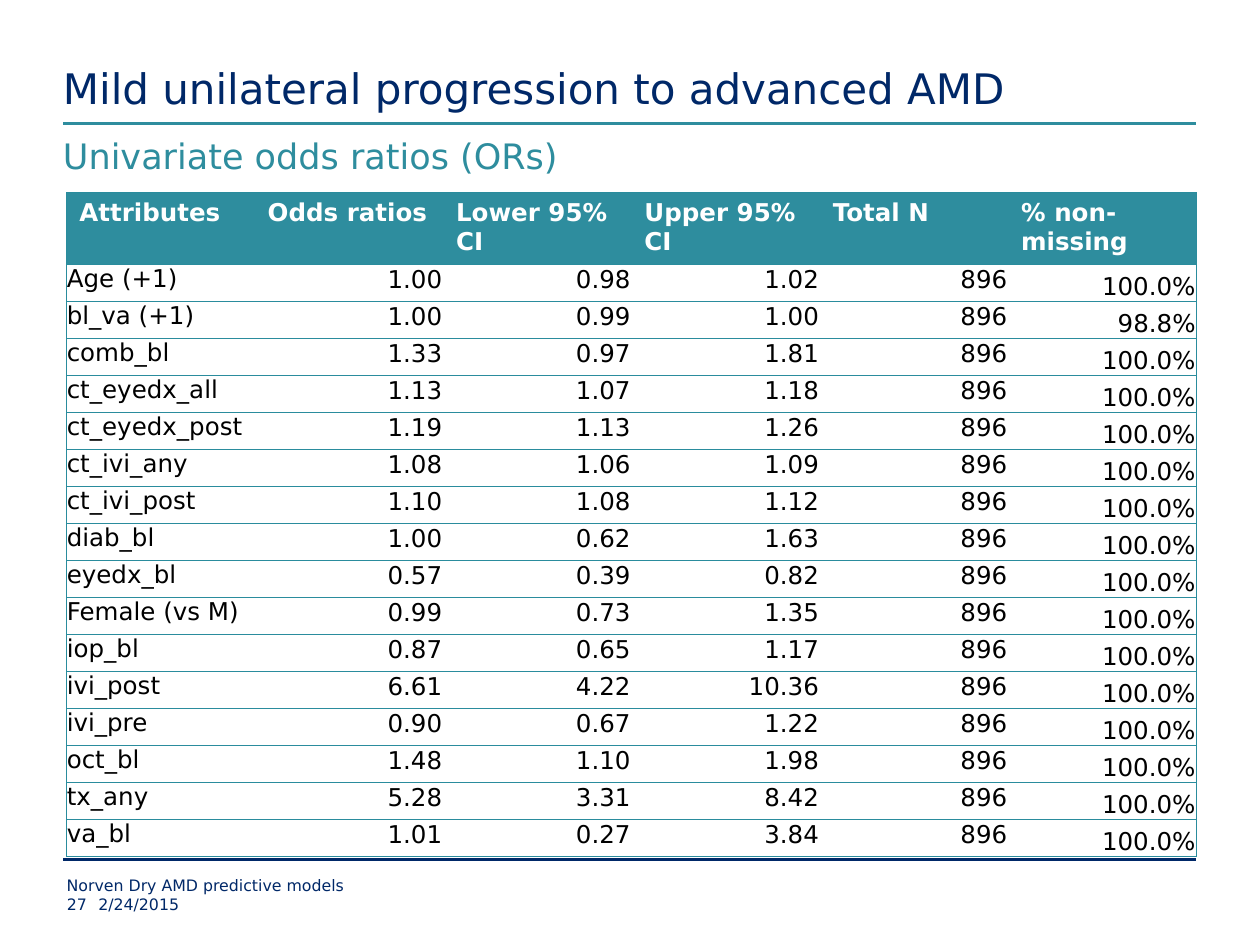
from pptx import Presentation
from pptx.dml.color import RGBColor as Rgb
from pptx.enum.shapes import MSO_CONNECTOR as Link
from pptx.enum.text import MSO_ANCHOR as Anchor, PP_ALIGN as Align
from pptx.oxml.ns import qn
from pptx.util import Inches, Pt
from lxml.etree import SubElement as Sub

NAVY = Rgb(0x00, 0x28, 0x68)
TEAL = Rgb(0x2E, 0x8D, 0x9E)
EDGE = Rgb(0x2A, 0x8C, 0x9D)
WHITE = Rgb(0xFF, 0xFF, 0xFF)
BLACK = Rgb(0x00, 0x00, 0x00)
SIDES = ("left", "right", "top", "bottom")

HEADS = ["Attributes", "Odds ratios", "Lower 95% CI", "Upper 95% CI",
         "Total N", "% non-missing"]
RATIOS = [
    ("Age (+1)", "1.00", "0.98", "1.02"),
    ("bl_va (+1)", "1.00", "0.99", "1.00"),
    ("comb_bl", "1.33", "0.97", "1.81"),
    ("ct_eyedx_all", "1.13", "1.07", "1.18"),
    ("ct_eyedx_post", "1.19", "1.13", "1.26"),
    ("ct_ivi_any", "1.08", "1.06", "1.09"),
    ("ct_ivi_post", "1.10", "1.08", "1.12"),
    ("diab_bl", "1.00", "0.62", "1.63"),
    ("eyedx_bl", "0.57", "0.39", "0.82"),
    ("Female (vs M)", "0.99", "0.73", "1.35"),
    ("iop_bl", "0.87", "0.65", "1.17"),
    ("ivi_post", "6.61", "4.22", "10.36"),
    ("ivi_pre", "0.90", "0.67", "1.22"),
    ("oct_bl", "1.48", "1.10", "1.98"),
    ("tx_any", "5.28", "3.31", "8.42"),
    ("va_bl", "1.01", "0.27", "3.84"),
]
FILLED = {"bl_va (+1)": "98.8%"}
ROWS = [[*row, "896", FILLED.get(row[0], "100.0%")] for row in RATIOS]


def apply(item, values):
    """Set each named value on the item."""
    for name, value in values.items():
        setattr(item, name, value)


class Deck:
    """Holds the style and the current slide."""

    font = "DejaVu Sans"

    def __init__(self, wide, high):
        """Start a deck with one blank slide."""
        self.show = Presentation()
        apply(self.show, {"slide_width": Inches(wide),
                          "slide_height": Inches(high)})
        self.slide = self.show.slides.add_slide(self.show.slide_layouts[6])

    def label(self, frame, text, size, color, bold=False, align=Align.LEFT):
        """Put one styled paragraph in a text frame."""
        para = frame.paragraphs[0]
        para.alignment = align
        run = para.add_run()
        run.text = text
        apply(run.font, {"name": self.font, "size": Pt(size), "bold": bold})
        run.font.color.rgb = color

    def text(self, text, box, size, color, anchor=Anchor.TOP):
        """Add a text box without margins."""
        frame = self.slide.shapes.add_textbox(*map(Inches, box)).text_frame
        apply(frame, {f"margin_{side}": 0 for side in SIDES})
        apply(frame, {"word_wrap": True, "vertical_anchor": anchor})
        self.label(frame, text, size, color)

    def rule(self, left, right, top, color):
        """Add a level line."""
        ends = map(Inches, (left, top, right, top))
        line = self.slide.shapes.add_connector(Link.STRAIGHT, *ends)
        line.line.width = Pt(1.5)
        line.line.color.rgb = color
        Sub(line._element.spPr, qn("a:effectLst"))

    def border(self, cell, shown):
        """Draw the shown sides of a cell and clear the others."""
        props = cell._tc.get_or_add_tcPr()
        for side in "LRTB":
            edge = Sub(props, qn(f"a:ln{side}"), w=str(Pt(0.75)))
            if side in shown:
                fill = Sub(edge, qn("a:solidFill"))
                Sub(fill, qn("a:srgbClr"), val=str(EDGE))
            else:
                Sub(edge, qn("a:noFill"))

    def cell(self, cell, text, col, last, head):
        """Fill and style one table cell."""
        sides = "TB" + "L" * (col == 0) + "R" * (col == last)
        self.border(cell, sides)
        if head:
            cell.fill.solid()
            cell.fill.fore_color.rgb = TEAL
            self.label(cell.text_frame, text, 14, WHITE, True)
            return
        cell.fill.background()
        gap = Inches(0.01) if col else 0
        apply(cell, {f"margin_{side}": gap for side in SIDES})
        apply(cell, {"margin_bottom": 0, "vertical_anchor":
                     Anchor.BOTTOM if col == last else Anchor.TOP})
        self.label(cell.text_frame, text, 14, BLACK,
                   align=Align.RIGHT if col else Align.LEFT)

    def table(self, heads, rows, box, top):
        """Add a table with a header row of height top."""
        size = (len(rows) + 1, len(heads))
        grid = self.slide.shapes.add_table(*size, *map(Inches, box)).table
        apply(grid, {"first_row": False, "horz_banding": False})
        for col in grid.columns:
            col.width = Inches(box[2] / len(heads))
        for at, row in enumerate([heads, *rows]):
            high = (box[3] - top) / len(rows) if at else top
            grid.rows[at].height = Inches(high)
            for col, text in enumerate(row):
                self.cell(grid.cell(at, col), text, col,
                          len(heads) - 1, at == 0)


deck = Deck(10, 7.5)
for top, color in ((0.98, TEAL), (6.82, NAVY)):
    deck.rule(0.5, 9.49, top, color)
deck.text("Mild unilateral progression to advanced AMD",
          (0.5, 0, 9, 0.9), 24, NAVY, Anchor.BOTTOM)
deck.text("Univariate odds ratios (ORs)", (0.5, 1.07, 9, 0.49), 20, TEAL)
deck.table(HEADS, ROWS, (0.53, 1.53, 8.97, 5.26), 0.56)
for text, left, top, wide in (
        ("Norven Dry AMD predictive models", 0.53, 6.95, 7.5),
        ("27", 0.53, 7.1, 0.25),
        ("2/24/2015", 0.78, 7.1, 7.25)):
    deck.text(text, (left, top, wide, 0.15), 9, NAVY)
deck.show.save("out.pptx")
